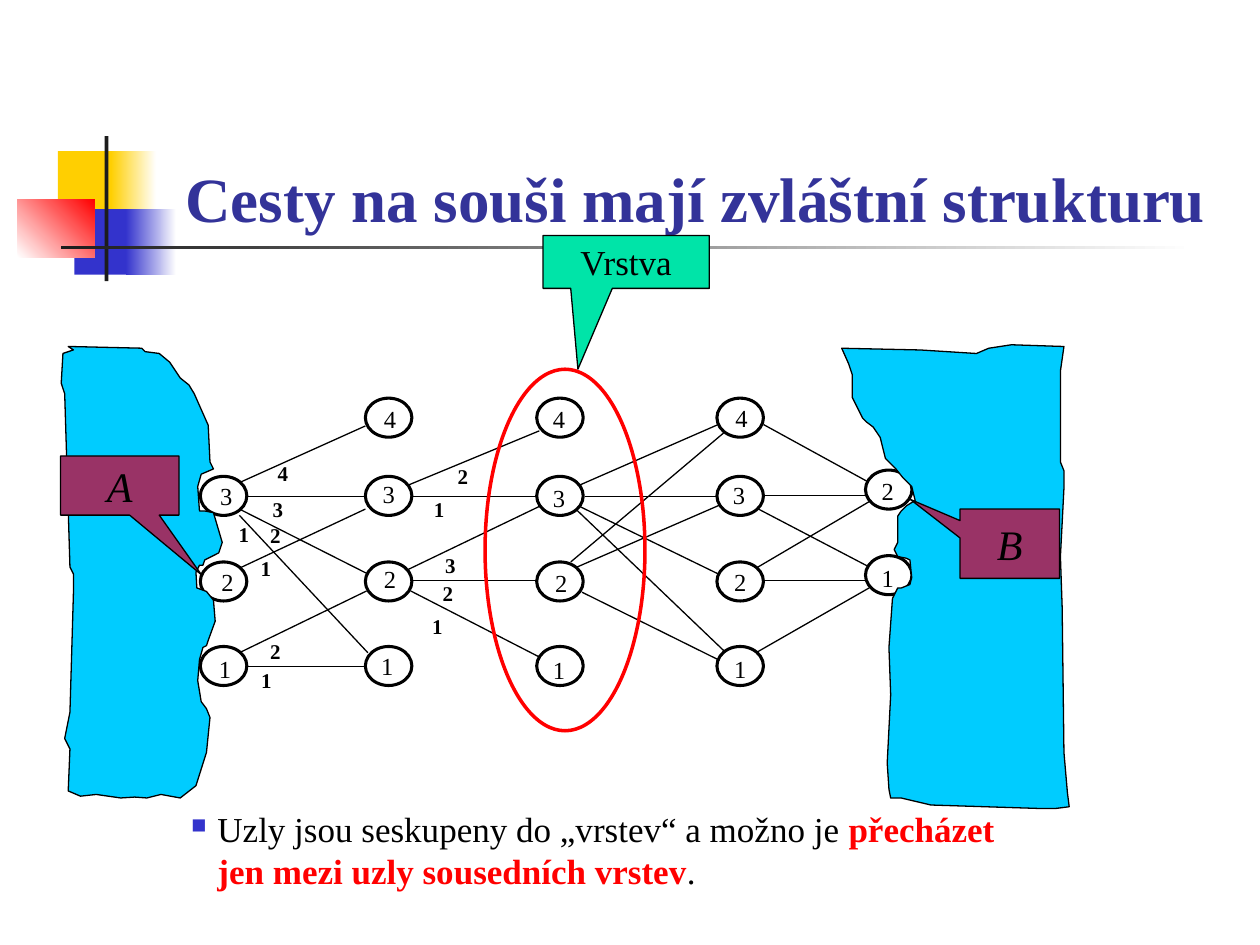
"""Builds the slide about the layered structure of land routes."""
from lxml.etree import SubElement
from pptx import Presentation
from pptx.dml.color import RGBColor
from pptx.enum.shapes import MSO_CONNECTOR, MSO_SHAPE
from pptx.enum.text import MSO_ANCHOR, PP_ALIGN
from pptx.oxml.ns import qn
from pptx.util import Pt

COLORS = {"black": "000000", "white": "FFFFFF", "title": "333399", "blue": "3333CC",
          "yellow": "FFCF01", "red": "FF0000", "dark": "1C1C1C", "sea": "00CCFF",
          "plum": "993366", "mint": "00E4A8"}
FONT = "Times New Roman"

DECOR = [
    ((33.1, 86.4, 34.6, 37.4), ["yellow"], 0),
    ((63.4, 86.4, 25.9, 37.4), ["yellow", "white"], 0),
    ((42.5, 119.5, 33.1, 37.4), ["blue"], 0),
    ((72, 119.5, 28.8, 37.4), ["blue", "white"], 0),
    ((10.1, 113.8, 43.9, 33.1), ["white", "red"], 45),
    ((59.8, 77.8, 2.2, 82.8), ["dark"], 0),
    ((34.6, 140.4, 648, 2.2), ["dark", "white"], 0),
]

ROWS = {"4": 227.5, "3": 272.2, "2": 321.1, "1": 369.4}
END_ROWS = {"2": 268.6, "1": 317.5}
LAYERS = [
    (114.5, ROWS, {"3": (118.1, 271.4), "2": (118.8, 320.4), "1": (117.4, 370.1)}),
    (208.8, ROWS, {"4": (211.7, 227.5), "3": (211, 270), "2": (211.7, 319),
                   "1": (210.2, 368.6)}),
    (306.7, ROWS, {"4": (308.2, 227.5), "3": (308.2, 272.2), "2": (309.6, 321.1),
                   "1": (308.2, 370.8)}),
    (409.7, ROWS, {"4": (412.6, 226.8), "3": (411.1, 270.7), "2": (411.8, 320.4),
                   "1": (411.8, 370.1)}),
    (494.6, END_ROWS, {"2": (496.1, 268.6), "1": (496.1, 318.2)}),
]

ROUTES = [
    (136.8, 275.8, 208.8, 243.4), (141.8, 283.7, 208.8, 283.7),
    (136.8, 290.9, 209.5, 327.6), (136.8, 294.5, 210.2, 373),
    (136.8, 324.7, 208.8, 290.9), (136.8, 373, 209.5, 337.7),
    (141.8, 380.9, 208.8, 380.9), (234.7, 337.7, 308.9, 375.8),
    (235.4, 331.9, 306.7, 331.9), (233.3, 325.4, 308.2, 289.4),
    (235.4, 283.7, 306.7, 283.7), (233.3, 277.2, 308.2, 246.2),
    (331.2, 277.2, 410.4, 242.6), (326.2, 321.1, 414, 247),
    (329.8, 324, 411.1, 288.7), (334.1, 283.7, 409, 283.7),
    (331.2, 289.4, 411.1, 328.3), (329, 290.9, 414, 372.2),
    (332.6, 338.4, 411.1, 377.3), (432, 373, 497.5, 335.5),
    (432, 324.7, 496.8, 286.6), (436.3, 331.9, 494.6, 331.9),
    (436.3, 242.6, 495.4, 275), (436.3, 283, 494.6, 283),
    (433.4, 290.9, 495.4, 323.3),
]

WEIGHTS = [
    ("2", 146.2, 295.2, 22.3), ("3", 147.6, 280.1, 22.3), ("4", 150.5, 259.9, 22.3),
    ("1", 141.1, 378, 22.3), ("1", 128.2, 294.5, 22.3), ("1", 141.8, 313.9, 18),
    ("2", 146.2, 361.4, 22.3), ("2", 253.4, 261.4, 22.3), ("1", 239.8, 280.1, 22.3),
    ("2", 244.8, 328.3, 22.3), ("3", 246.2, 312.5, 22.3), ("1", 239.8, 347, 18),
]

WEST_SEA = [
    (39, 198), (81, 199), (83, 201), (91, 202), (97, 207), (103, 216), (108, 220),
    (111, 225), (119, 243), (120, 264), (122, 268), (115, 271), (113, 278), (114, 292),
    (117, 292), (122, 293), (127, 310), (125, 316), (117, 320), (116, 323), (114, 323),
    (112, 327), (112.5, 336), (118, 338), (122, 343), (123, 355), (119, 366), (118, 369),
    (116, 370), (114, 377), (113, 389), (115, 401), (118, 405), (120, 410), (118, 430),
    (112, 449), (103, 456), (92, 454), (84, 456), (77, 455.5), (69, 456), (55, 454),
    (46, 455), (39, 452), (40, 428), (37, 422), (40, 407), (42, 339), (42, 328),
    (40, 324), (37, 225), (35, 219), (36, 202), (42, 200),
]
EAST_SEA = [
    (608, 198), (578, 197), (565, 199), (558, 202), (526, 200), (481, 199), (485, 208),
    (487, 214), (487, 227), (493, 239), (495, 241), (499, 244), (503, 250), (506, 262),
    (512, 268), (516, 273), (521, 278), (523, 286), (518, 289), (515, 292), (513, 295),
    (513, 310), (511, 314), (513, 318), (518, 319), (520, 320), (521, 330), (520, 334),
    (515, 336), (513, 336), (510, 342), (508, 370), (509, 397), (507, 436), (508, 451),
    (509, 456), (515, 456), (532, 460), (595, 462), (603, 462), (611, 461), (610, 453),
    (608, 430), (607, 347), (606, 318), (608, 279), (608, 269), (606, 264), (606, 212),
]


class Sheet:
    """Holds the style and the current slide."""

    def __init__(self, slide):
        self.slide = slide
        self.shapes = slide.shapes

    def color(self, name):
        return RGBColor.from_string(COLORS[name])

    def run(self, paragraph, text, size, color="black", bold=False, italic=False):
        run = paragraph.add_run()
        run.text = text
        font = run.font
        font.name, font.size, font.bold, font.italic = FONT, Pt(size), bold, italic
        font.color.rgb = self.color(color)

    def paint(self, shape, fill=None, line=None, width=0.75):
        shape.shadow.inherit = False
        if fill:
            shape.fill.solid()
            shape.fill.fore_color.rgb = self.color(fill)
        else:
            shape.fill.background()
        if line:
            shape.line.color.rgb = self.color(line)
            shape.line.width = Pt(width)
        else:
            shape.line.fill.background()

    def shape(self, kind, box, **look):
        shape = self.shapes.add_shape(kind, *map(Pt, box))
        self.paint(shape, **look)
        return shape

    def band(self, box, colors, angle):
        band = self.shape(MSO_SHAPE.RECTANGLE, box, fill=colors[0])
        if len(colors) > 1:
            band.fill.gradient()
            band.fill.gradient_angle = angle
            for stop, name, position in zip(band.fill.gradient_stops, colors, (0, 1)):
                stop.color.rgb = self.color(name)
                stop.position = position

    def title(self, text, box):
        title = self.shapes.title
        title.left, title.top, title.width, title.height = map(Pt, box)
        title.text_frame.vertical_anchor = MSO_ANCHOR.BOTTOM
        paragraph = title.text_frame.paragraphs[0]
        paragraph.alignment = PP_ALIGN.CENTER
        self.run(paragraph, text, 36, "title", bold=True)

    def text(self, box):
        frame = self.shapes.add_textbox(*map(Pt, box)).text_frame
        frame.word_wrap = True
        return frame.paragraphs[0]

    def label(self, text, box, size, bold=False):
        paragraph = self.text(box)
        paragraph.alignment = PP_ALIGN.CENTER
        self.run(paragraph, text, size, bold=bold)

    def bullet(self, box, runs):
        paragraph = self.text(box)
        paragraph.space_before = Pt(4)
        props = paragraph._p.get_or_add_pPr()
        props.set("marL", str(Pt(15)))
        props.set("indent", str(Pt(-15)))
        tint = SubElement(props, qn("a:buClr"))
        SubElement(tint, qn("a:srgbClr"), val=COLORS["blue"])
        SubElement(props, qn("a:buSzPct"), val="60000")
        SubElement(props, qn("a:buChar"), char="■")
        for text, color, bold in runs:
            self.run(paragraph, text, 20, color, bold)

    def line(self, *ends):
        line = self.shapes.add_connector(MSO_CONNECTOR.STRAIGHT, *map(Pt, ends))
        line.line.color.rgb = self.color("black")
        line.line.width = Pt(0.75)
        SubElement(line._element.spPr, qn("a:effectLst"))

    def outline(self, points, fill):
        start, *rest = [(Pt(x), Pt(y)) for x, y in points]
        builder = self.shapes.build_freeform(*start)
        builder.add_line_segments(rest, close=True)
        self.paint(builder.convert_to_shape(), fill=fill, line="black")

    def callout(self, text, box, tip, fill, size, italic=False):
        callout = self.shape(MSO_SHAPE.RECTANGULAR_CALLOUT, box, fill=fill, line="black")
        callout.adjustments[0], callout.adjustments[1] = tip
        callout.text_frame.vertical_anchor = MSO_ANCHOR.MIDDLE
        paragraph = callout.text_frame.paragraphs[0]
        paragraph.alignment = PP_ALIGN.CENTER
        self.run(paragraph, text, size, italic=italic)


def main():
    deck = Presentation()
    deck.slide_width, deck.slide_height = Pt(720), Pt(540)
    sheet = Sheet(deck.slides.add_slide(deck.slide_layouts[5]))
    for box, colors, angle in DECOR:
        sheet.band(box, colors, angle)
    sheet.title("Cesty na souši mají zvláštní strukturu", (90.7, 37.4, 613.4, 100.8))
    for x, rows, labels in LAYERS:
        for number in labels:
            sheet.shape(MSO_SHAPE.OVAL, (x, rows[number], 26.6, 22.3), line="black", width=1.75)
    for route in ROUTES:
        sheet.line(*route)
    for _, _, labels in LAYERS:
        for number, corner in labels.items():
            sheet.label(number, (*corner, 22.3, 24.5), 14)
    for weight, x, y, width in WEIGHTS:
        sheet.label(weight, (x, y, width, 21.6), 12, bold=True)
    for sea in (WEST_SEA, EAST_SEA):
        sheet.outline(sea, "sea")
    sheet.callout("A", (34.6, 260.6, 67.7, 33.8), (0.69, 1.51), "plum", 24, italic=True)
    sheet.callout("B", (548.6, 290.9, 56.9, 39.6), (-1, -0.64), "plum", 24, italic=True)
    sheet.bullet((102.2, 457.9, 499, 63.4), [
        ("Uzly jsou seskupeny do „vrstev“ a možno je ", "black", False),
        ("přecházet jen mezi uzly sousedních vrstev", "red", True),
        (".", "black", False)])
    sheet.shape(MSO_SHAPE.OVAL, (277.2, 211, 91.4, 206.6), line="red", width=2)
    sheet.callout("Vrstva", (310.3, 134.6, 95, 30.2), (-0.29, 2.03), "mint", 20)
    deck.save("out.pptx")


if __name__ == "__main__":
    main()
